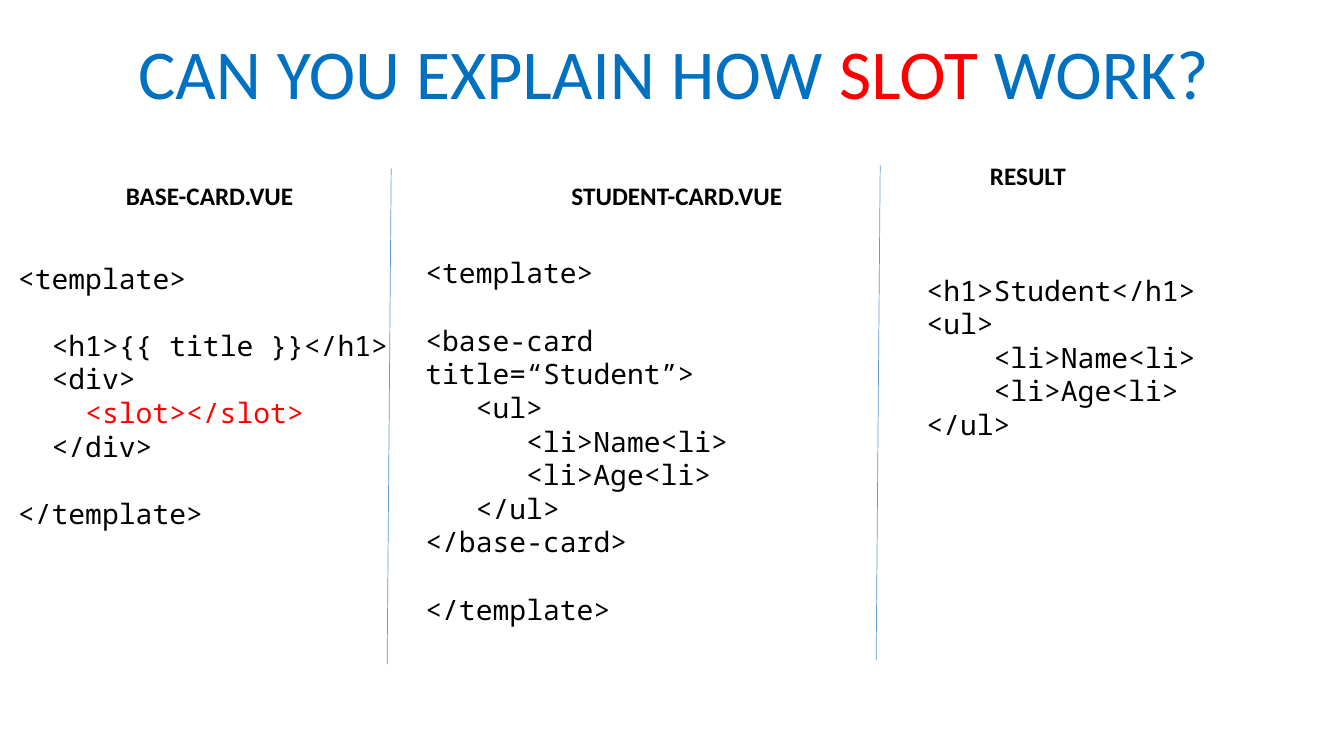
from dataclasses import dataclass

import pptx
import pptx.dml.color
import pptx.enum.shapes
import pptx.enum.text
import pptx.oxml.ns
import pptx.util
from lxml import etree

PX = 9144  # EMU per px, 100 px to the inch


@dataclass(frozen=True)
class Theme:
    blue: str = "0070C0"
    red: str = "FF0000"
    black: str = "000000"
    rule: str = "5B9BD5"
    text_font: str = "Calibri"
    code_font: str = "Noto Sans Mono"
    title_size: int = 50
    heading_size: int = 18
    code_size: int = 20
    code_line: int = 24  # height of one code line in points
    code_char: int = 12  # width of one code character in points
    rule_width: float = 0.5


THEME = Theme()


@dataclass(frozen=True)
class Box:
    x: int
    y: int
    w: int
    h: int


@dataclass(frozen=True)
class CodeLine:
    text: str
    indent: int = 0  # in characters
    gap: bool = False  # one line of space above
    color: str = THEME.black


@dataclass(frozen=True)
class Column:
    heading: str
    heading_box: Box
    code_box: Box
    lines: tuple[CodeLine, ...]


@dataclass(frozen=True)
class Divider:
    x1: int
    y1: int
    x2: int
    y2: int


TITLE_BOX = Box(127, 24, 1091, 94)
TITLE_RUNS = (
    ("CAN YOU EXPLAIN HOW ", THEME.blue),
    ("SLOT", THEME.red),
    (" WORK?", THEME.blue),
)

COLUMNS = (
    Column("BASE-CARD.VUE", Box(115, 174, 188, 40), Box(8, 254, 442, 279), (
        CodeLine("<template>"),
        CodeLine("<h1>{{ title }}</h1>", 2, gap=True),
        CodeLine("<div>", 2),
        CodeLine("<slot></slot>", 4, color=THEME.red),
        CodeLine("</div>", 2),
        CodeLine("</template>", gap=True),
    )),
    Column("STUDENT-CARD.VUE", Box(557, 174, 233, 40), Box(412, 249, 448, 347), (
        CodeLine("<template>"),
        CodeLine("<base-card title=“Student”>", gap=True),
        CodeLine("<ul>", 3),
        CodeLine("<li>Name<li>", 6),
        CodeLine("<li>Age<li>", 6),
        CodeLine("</ul>", 3),
        CodeLine("</base-card>"),
        CodeLine("</template>", gap=True),
    )),
    Column("RESULT", Box(972, 154, 96, 40), Box(909, 266, 318, 178), (
        CodeLine("<h1>Student</h1>"),
        CodeLine("<ul>"),
        CodeLine("<li>Name<li>", 4),
        CodeLine("<li>Age<li>", 4),
        CodeLine("</ul>"),
    )),
)

DIVIDERS = (Divider(388, 167, 384, 659), Divider(873, 164, 869, 655))


def rgb(color: str) -> pptx.dml.color.RGBColor:
    return pptx.dml.color.RGBColor.from_string(color)


def add_run(p, text: str, font: str, size: int, color: str, bold: bool = False) -> None:
    r = p.add_run()
    r.text = text
    r.font.name = font
    r.font.size = pptx.util.Pt(size)
    r.font.bold = bold
    r.font.color.rgb = rgb(color)


def set_frame(sp, wrap: bool):
    tf = sp.text_frame
    tf.word_wrap = wrap
    tf.auto_size = pptx.enum.text.MSO_AUTO_SIZE.SHAPE_TO_FIT_TEXT
    tf.vertical_anchor = pptx.enum.text.MSO_ANCHOR.TOP
    return tf


def add_box(s, box: Box, wrap: bool):
    sp = s.shapes.add_textbox(box.x * PX, box.y * PX, box.w * PX, box.h * PX)
    return set_frame(sp, wrap)


def add_title(s) -> None:
    sp = s.shapes.title
    sp.left, sp.top = TITLE_BOX.x * PX, TITLE_BOX.y * PX
    sp.width, sp.height = TITLE_BOX.w * PX, TITLE_BOX.h * PX
    p = set_frame(sp, wrap=False).paragraphs[0]
    p.alignment = pptx.enum.text.PP_ALIGN.LEFT
    for text, color in TITLE_RUNS:
        add_run(p, text, THEME.text_font, THEME.title_size, color)


def add_column(s, column: Column) -> None:
    # Heading
    p = add_box(s, column.heading_box, wrap=False).paragraphs[0]
    add_run(p, column.heading, THEME.text_font, THEME.heading_size, THEME.black, bold=True)

    # Code, with nesting as paragraph indents
    tf = add_box(s, column.code_box, wrap=True)
    for i, line in enumerate(column.lines):
        p = tf.add_paragraph() if i else tf.paragraphs[0]
        if line.indent:
            margin = pptx.util.Pt(line.indent * THEME.code_char)
            p._p.get_or_add_pPr().set("marL", str(margin))
        if line.gap:
            p.space_before = pptx.util.Pt(THEME.code_line)
        add_run(p, line.text, THEME.code_font, THEME.code_size, line.color)


def add_divider(s, d: Divider) -> None:
    cx = s.shapes.add_connector(
        pptx.enum.shapes.MSO_CONNECTOR.STRAIGHT,
        d.x1 * PX, d.y1 * PX, d.x2 * PX, d.y2 * PX)
    cx.line.color.rgb = rgb(THEME.rule)
    cx.line.width = pptx.util.Pt(THEME.rule_width)
    etree.SubElement(cx._element.spPr, pptx.oxml.ns.qn("a:effectLst"))


def main() -> None:
    prs = pptx.Presentation()
    prs.slide_width, prs.slide_height = 1333 * PX, 750 * PX
    s = prs.slides.add_slide(prs.slide_layouts[5])  # Title Only
    add_title(s)
    for column in COLUMNS:
        add_column(s, column)
    for divider in DIVIDERS:
        add_divider(s, divider)
    prs.save("out.pptx")


if __name__ == "__main__":
    main()
